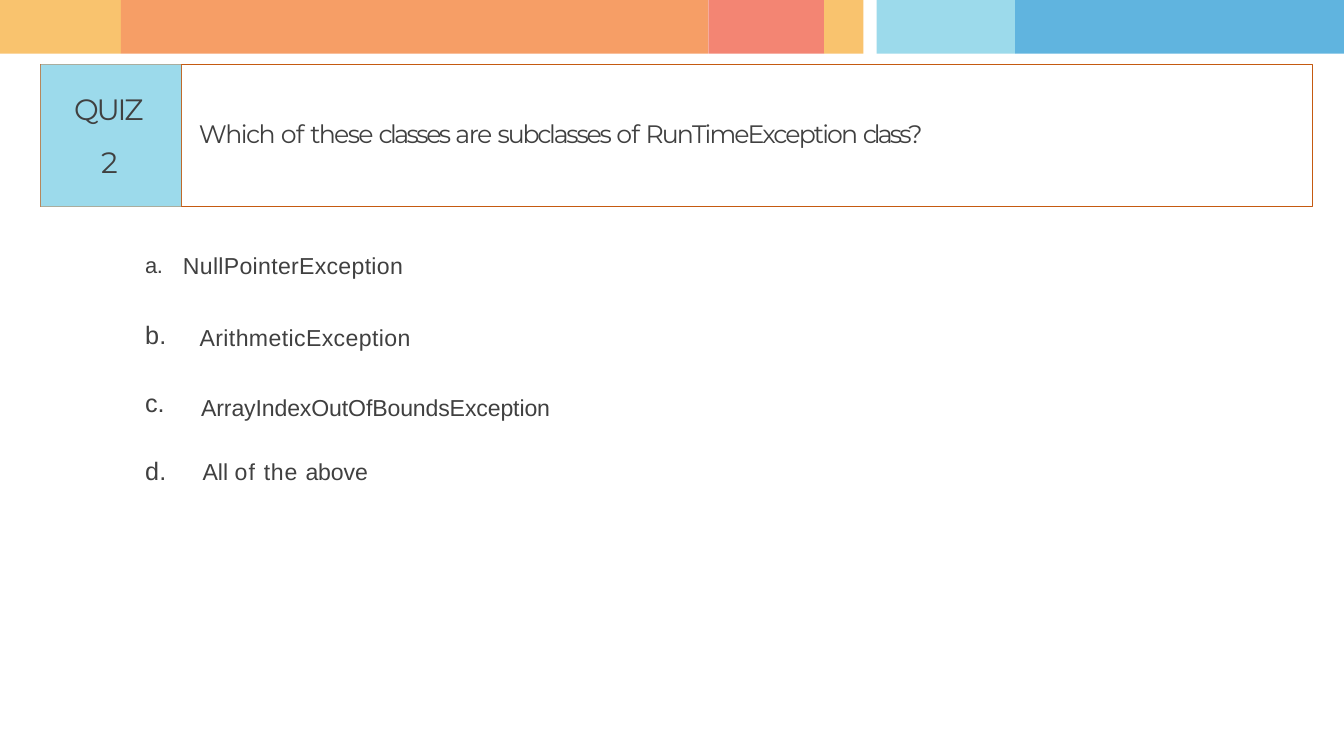
from pptx import Presentation
from pptx.dml.color import RGBColor
from pptx.enum.shapes import MSO_CONNECTOR, MSO_SHAPE
from pptx.enum.text import MSO_ANCHOR, PP_ALIGN
from pptx.oxml.ns import qn
from pptx.util import Cm, Pt
from lxml import etree

RECTANGLE = MSO_SHAPE.RECTANGLE
STRAIGHT = MSO_CONNECTOR.STRAIGHT
TOP, LEFT = MSO_ANCHOR.TOP, PP_ALIGN.LEFT

YELLOW = RGBColor(0xF9, 0xC3, 0x6E)
ORANGE = RGBColor(0xF6, 0x9E, 0x66)
CORAL = RGBColor(0xF3, 0x85, 0x73)
AQUA = RGBColor(0x9C, 0xDA, 0xEB)
BLUE = RGBColor(0x60, 0xB4, 0xDF)
RUST = RGBColor(0xC5, 0x5A, 0x11)
GREY = RGBColor(0x40, 0x40, 0x40)

# Content: text runs are (text, letter spacing in points)
BANDS = [  # left, right, colour
    (0, 4.06, YELLOW), (4.06, 23.8, ORANGE), (23.8, 27.69, CORAL),
    (27.69, 29.01, YELLOW), (29.46, 34.11, AQUA), (34.11, 45.16, BLUE),
]
TITLE = [("QUIZ ", -2), ("2", -0.5)]
QUESTION = [
    ("Which ", -1.4), ("of ", -0.8), ("these ", -1.6), ("classes ", -2.4),
    ("are ", -1.3), ("subclasses ", -2.1), ("of ", -0.8),
    ("RunTimeException ", -1.8), ("class?", -2.7),
]
FIRST_LETTER, FIRST_ANSWER = ("a.\t", -0.4), ("NullPointerException", 0.3)
OPTIONS = [  # letter, letter top, answer left, answer top, answer
    (("b.", 0.2), 10.67, 6.68, 10.8, [("ArithmeticException", 0.4)]),
    (("c.", -0.2), 12.95, 6.73, 13.16, [("ArrayIndexOutOfBoundsException", -0.1)]),
    (("d.", 0.2), 15.24, 6.78, 15.32,
     [("All ", 0), ("of ", 1.1), ("the ", 0.8), ("above", -0.1)]),
]

# Layout in centimetres
BAND_HEIGHT = 1.8
FRAME_LEFT, FRAME_TOP, FRAME_WIDTH, FRAME_HEIGHT = 1.37, 2.16, 42.72, 4.78
TITLE_WIDTH = 4.72
LETTER_LEFT = 4.85
TEXT_INSET = 0.06

deck = Presentation()
deck.slide_width, deck.slide_height = Cm(45.16), Cm(25.4)
page = deck.slides.add_slide(deck.slide_layouts[6])


def add_rectangle(left, top, width, height, fill=None):
    shape = page.shapes.add_shape(RECTANGLE, Cm(left), Cm(top), Cm(width), Cm(height))
    shape.shadow.inherit = False
    if fill is None:
        shape.fill.background()
    else:
        shape.fill.solid()
        shape.fill.fore_color.rgb = fill
        shape.line.fill.background()
    return shape


def prepare_text(shape, top=TEXT_INSET, right=0, margin=0.03, indent=0):
    frame = shape.text_frame
    frame.word_wrap = True
    frame.vertical_anchor = TOP
    frame.margin_left = frame.margin_bottom = 0
    frame.margin_top, frame.margin_right = Cm(top), Cm(right)
    para = frame.paragraphs[0]
    para.alignment = LEFT
    properties = para._p.get_or_add_pPr()
    properties.set("marL", str(Cm(margin)))
    properties.set("indent", str(Cm(indent)))
    return para


def add_runs(para, runs, size, font="Arial"):
    for text, spacing in runs:
        span = para.add_run()
        span.text = text
        span.font.size = Pt(size)
        span.font.name = font
        span.font.color.rgb = GREY
        span._r.get_or_add_rPr().set("spc", str(round(spacing * 100)))


def add_text(left, top, width, height, runs, size, font="Arial", margin=0.03):
    box = page.shapes.add_textbox(Cm(left), Cm(top), Cm(width), Cm(height))
    add_runs(prepare_text(box, margin=margin), runs, size, font)


# Colour bands along the top
for left, right, colour in BANDS:
    add_rectangle(left, 0, right - left, BAND_HEIGHT, colour)

# Question frame and divider
frame_box = add_rectangle(FRAME_LEFT, FRAME_TOP, FRAME_WIDTH, FRAME_HEIGHT)
frame_box.line.color.rgb = RUST
frame_box.line.width = Pt(0.96)
divider_x = Cm(FRAME_LEFT + TITLE_WIDTH)
divider = page.shapes.add_connector(
    STRAIGHT, divider_x, Cm(FRAME_TOP), divider_x, Cm(FRAME_TOP + FRAME_HEIGHT))
divider.line.color.rgb = RUST
divider.line.width = Pt(0.48)
etree.SubElement(divider._element.spPr, qn("a:effectLst"))

# Quiz number and question
title = add_rectangle(FRAME_LEFT, FRAME_TOP, TITLE_WIDTH, FRAME_HEIGHT, AQUA)
title_para = prepare_text(title, top=0.29, right=1.1, margin=2.03, indent=-0.91)
title_para.line_spacing = 1.51
add_runs(title_para, TITLE, 28, "Montserrat")
add_text(6.1, 3.91, 37.97, 1.09, QUESTION, 24, "Montserrat", margin=0.58)

# First option: a raised letter and its answer share a tabbed line
first = page.shapes.add_textbox(Cm(LETTER_LEFT), Cm(8.48), Cm(9.53), Cm(0.99))
first_para = prepare_text(first, top=0)
first_para.line_spacing = Pt(27.8)
tabs = etree.SubElement(first_para._p.get_or_add_pPr(), qn("a:tabLst"))
etree.SubElement(tabs, qn("a:tab"), pos=str(Cm(1.88)), algn="l")
add_runs(first_para, [FIRST_LETTER], 36)
first_para.runs[0]._r.get_or_add_rPr().set("baseline", "1000")
add_runs(first_para, [FIRST_ANSWER], 22)

# Remaining options
for letter, letter_top, answer_left, answer_top, answer in OPTIONS:
    add_text(LETTER_LEFT, letter_top, 0.81, 1.09, [letter], 24)
    add_text(answer_left, answer_top, 12.5, 0.99, answer, 22)

deck.save("out.pptx")
